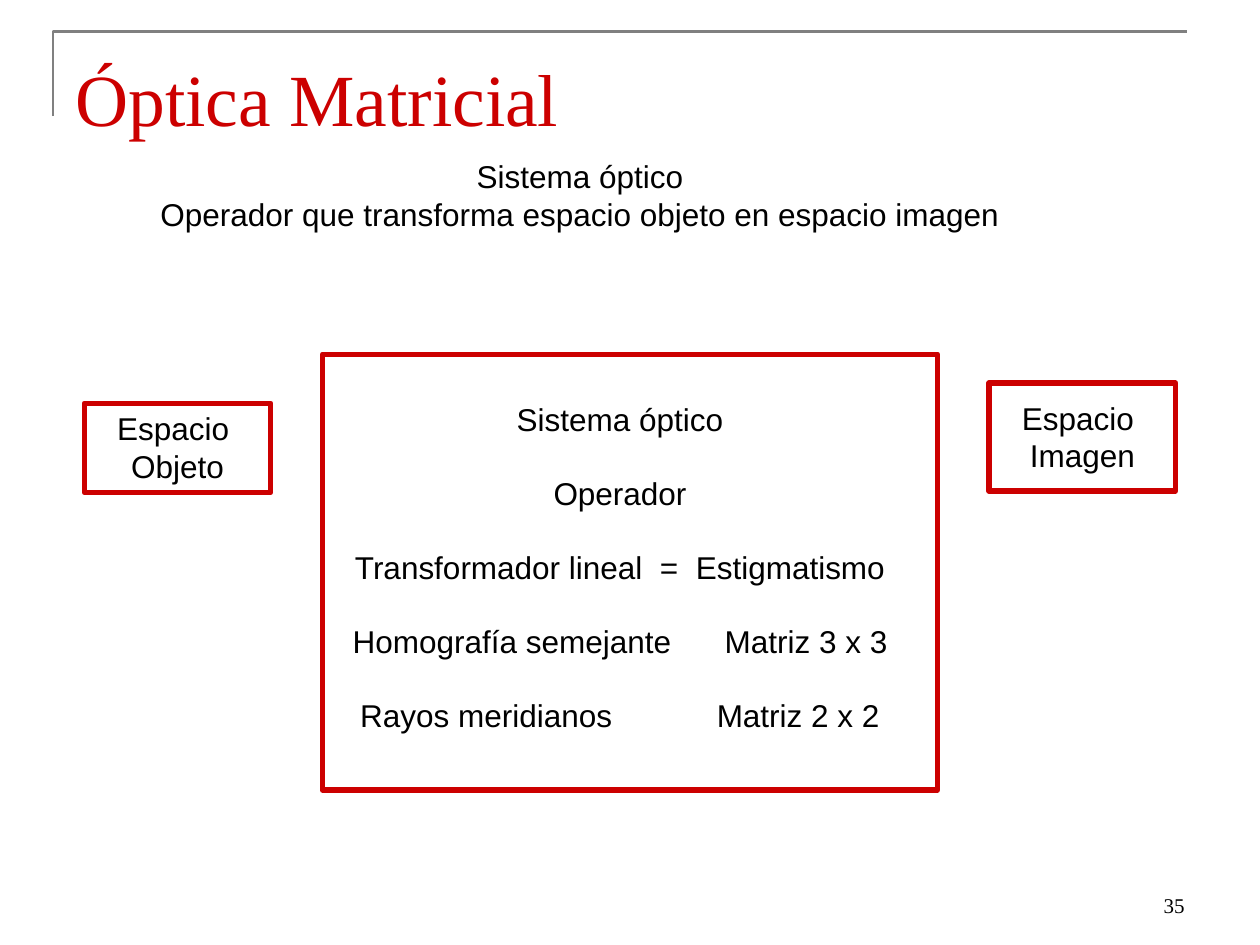
from collections import namedtuple
from dataclasses import dataclass

from lxml.etree import SubElement
from pptx import Presentation
from pptx.dml.color import RGBColor
from pptx.enum.shapes import MSO_SHAPE
from pptx.enum.text import MSO_ANCHOR, PP_ALIGN
from pptx.oxml.ns import qn
from pptx.util import Cm, Pt

Box = namedtuple("Box", "left top width height")


@dataclass(frozen=True)
class Theme:
    accent = RGBColor(0xCC, 0x00, 0x00)
    rule = RGBColor(0x80, 0x80, 0x80)
    ink = RGBColor(0x00, 0x00, 0x00)
    heading_font = "Times New Roman"
    body_font = "Arial"
    title_size = Pt(42)
    body_size = Pt(18)
    number_size = Pt(12)
    rule_width = Pt(1.5)
    frame_width = Pt(3)
    line_gap = Pt(20.7)


THEME = Theme()
BODY = {"name": THEME.body_font, "size": THEME.body_size}
TITLE = {"name": THEME.heading_font, "size": THEME.title_size}
NUMBER = {"name": THEME.heading_font, "size": THEME.number_size}


def lengths(box):
    return [Cm(value) for value in box]


def centred_in(box, width, height):
    return Box(box.left + (box.width - width) / 2,
               box.top + (box.height - height) / 2, width, height)


def add_text(page, box, lines, font, color=THEME.ink, align=PP_ALIGN.CENTER,
             anchor=MSO_ANCHOR.TOP, wrap=True, gap=Pt(0)):
    """Add one paragraph per line, with gap between them; return the paragraphs."""
    frame = page.shapes.add_textbox(*lengths(box)).text_frame
    frame.word_wrap = wrap
    frame.vertical_anchor = anchor
    for index, line in enumerate(lines):
        para = frame.paragraphs[0] if index == 0 else frame.add_paragraph()
        para.alignment = align
        para.space_before = gap if index else Pt(0)
        span = para.add_run()
        span.text = line
        span.font.color.rgb = color
        for key, value in font.items():
            setattr(span.font, key, value)
    return frame.paragraphs


def set_tab_stops(para, stops):
    para.alignment = PP_ALIGN.LEFT
    tabs = SubElement(para._p.get_or_add_pPr(), qn("a:tabLst"))
    for stop in stops:
        SubElement(tabs, qn("a:tab"), pos=str(Cm(stop)), algn="l")


def add_frame(page, box):
    frame = page.shapes.add_shape(MSO_SHAPE.RECTANGLE, *lengths(box))
    frame.shadow.inherit = False
    frame.fill.background()
    frame.line.color.rgb = THEME.accent
    frame.line.width = THEME.frame_width


def add_corner_rule(page, box):
    """Draw the open outline along the left and top edges of the box."""
    left, top, width, height = lengths(box)
    builder = page.shapes.build_freeform(left, top + height)
    builder.add_line_segments([(left, top), (left + width, top)], close=False)
    rule = builder.convert_to_shape()
    rule.shadow.inherit = False
    rule.fill.background()
    rule.line.color.rgb = THEME.rule
    rule.line.width = THEME.rule_width


def add_header(page, box, title):
    add_corner_rule(page, Box(box.left, box.top, box.width, 1.7))
    add_text(page, Box(box.left + 0.2, box.top + 0.3, box.width, 3.18),
             [title], TITLE, THEME.accent, PP_ALIGN.LEFT)


def add_space(page, box, lines):
    add_text(page, centred_in(box, 2.97, 1.8), lines, BODY, wrap=False)
    add_frame(page, box)


def add_system(page, box):
    lines = ["Sistema óptico", "Operador", "Transformador lineal  =  Estigmatismo",
             "\tHomografía semejante\tMatriz 3 x 3",
             "\tRayos meridianos\tMatriz 2 x 2"]
    text_box = Box(box.left - 0.4, box.top + 0.79, 12.8, 7.19)
    paras = add_text(page, text_box, lines, BODY, gap=THEME.line_gap)
    set_tab_stops(paras[3], (0.76, 8.26))
    set_tab_stops(paras[4], (0.91, 8.1))
    add_frame(page, box)


def main():
    deck = Presentation()
    deck.slide_width, deck.slide_height = Cm(25.4), Cm(19.05)
    page = deck.slides.add_slide(deck.slide_layouts[6])

    add_header(page, Box(1.07, 0.64, 22.86, 3.3), "Óptica Matricial")
    add_text(page, Box(18.21, 17.35, 5.92, 1.27), ["35"], NUMBER,
             align=PP_ALIGN.RIGHT, anchor=MSO_ANCHOR.BOTTOM)
    add_text(page, Box(2.9, 3.05, 17.58, 1.8),
             ["Sistema óptico",
              "Operador que transforma espacio objeto en espacio imagen"],
             BODY, wrap=False)
    add_space(page, Box(1.7, 8.13, 3.76, 1.8), ["Espacio ", "Objeto"])
    add_space(page, Box(19.94, 7.72, 3.76, 2.18), ["Espacio ", "Imagen"])
    add_system(page, Box(6.5, 7.14, 12.4, 8.79))

    deck.save("out.pptx")


if __name__ == "__main__":
    main()
